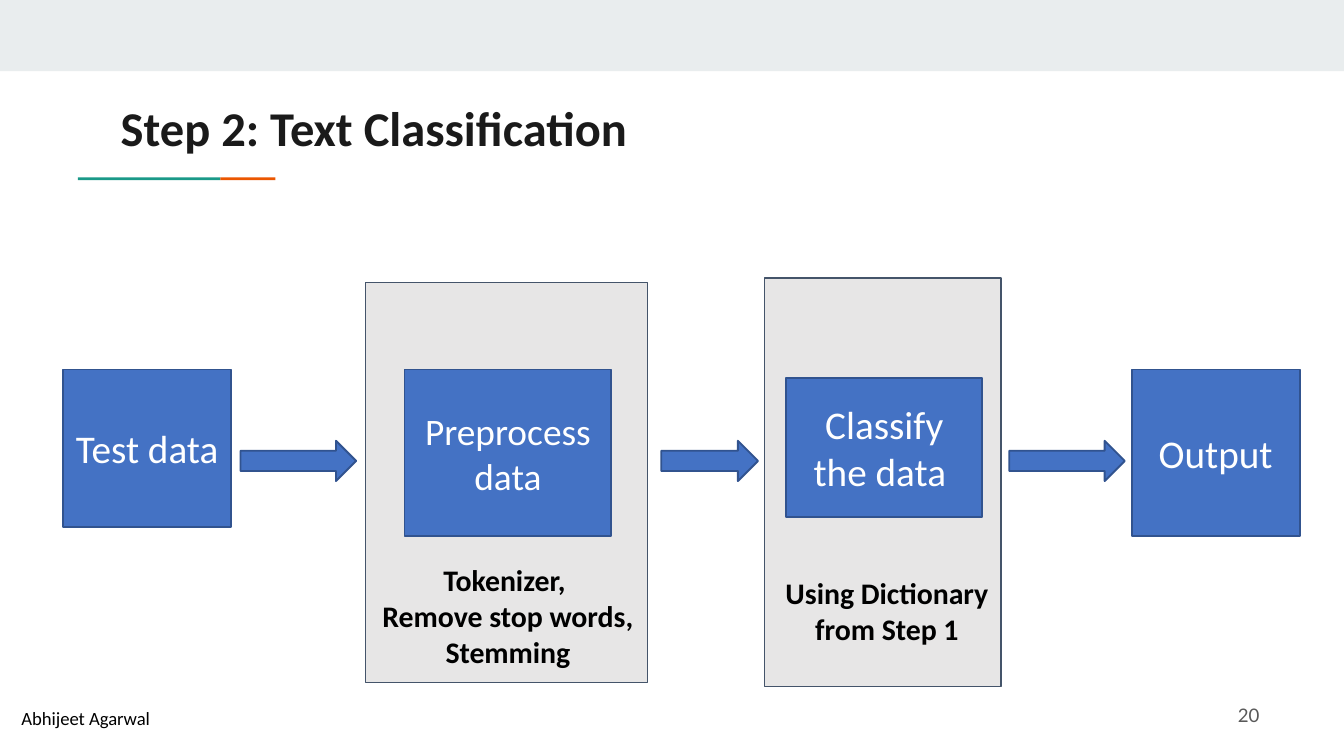
from dataclasses import dataclass

import pptx
import pptx.util
from pptx.dml.color import RGBColor
from pptx.enum.shapes import MSO_SHAPE
from pptx.enum.text import MSO_ANCHOR, PP_ALIGN

Inches = pptx.util.Inches


@dataclass(frozen=True)
class Theme:
    band: str = "E9EDEE"
    teal: str = "1A9988"
    orange: str = "EB5600"
    title: str = "1A1A1A"
    number: str = "595959"
    black: str = "000000"
    white: str = "FFFFFF"
    panel: str = "E7E6E6"
    panel_line: str = "44546A"
    step: str = "4472C4"
    step_line: str = "31538F"
    font: str = "Calibri"
    number_font: str = "Lato"
    title_size: int = 26
    step_size: int = 21
    caption_size: int = 16
    footer_size: int = 10


THEME = Theme()
STEP_TOP, ARROW_TOP, ARROW_HEIGHT = 2.75, 3.28, 0.3


def write_text(shape, text, size, color, font=THEME.font, bold=False,
               align=PP_ALIGN.LEFT, anchor=MSO_ANCHOR.TOP, insets=(0.1, 0.1)):
    """Fill a shape with uniformly formatted text, one paragraph per line."""
    frame = shape.text_frame
    side, end = map(Inches, insets)
    frame_format = {"word_wrap": True, "vertical_anchor": anchor,
                    "margin_left": side, "margin_right": side,
                    "margin_top": end, "margin_bottom": end}
    for name, value in frame_format.items():
        setattr(frame, name, value)
    frame.text = text
    font_format = {"name": font, "size": pptx.util.Pt(size), "bold": bold}
    for paragraph in frame.paragraphs:
        paragraph.alignment = align
        for run in paragraph.runs:
            for name, value in font_format.items():
                setattr(run.font, name, value)
            run.font.color.rgb = RGBColor.from_string(color)


def add_text(slide, box, text, size, color, **text_format):
    shape = slide.shapes.add_textbox(*map(Inches, box))
    write_text(shape, text, size, color, **text_format)


def add_block(slide, box, fill, line=None, line_width=1, kind=MSO_SHAPE.RECTANGLE):
    shape = slide.shapes.add_shape(kind, *map(Inches, box))
    shape.shadow.inherit = False
    shape.fill.solid()
    shape.fill.fore_color.rgb = RGBColor.from_string(fill)
    if line:
        shape.line.color.rgb = RGBColor.from_string(line)
        shape.line.width = pptx.util.Pt(line_width)
    else:
        shape.line.fill.background()
    return shape


def add_header(slide, box):
    """Draw the top band, the title and the two-colour rule below it."""
    left, top, width, height = box
    add_block(slide, (left, top, width, 0.53), THEME.band)
    add_text(slide, (left + 0.8, top + 0.63, 8.41, 0.59), "Step 2: Text Classification",
             THEME.title_size, THEME.title, bold=True)
    rule_top = top + height - 0.02
    add_block(slide, (left + 0.58, rule_top, 1.06, 0.02), THEME.teal)
    add_block(slide, (left + 1.64, rule_top, 0.41, 0.02), THEME.orange)


def add_step(slide, box, text, size=THEME.step_size):
    shape = add_block(slide, box, THEME.step, THEME.step_line)
    write_text(shape, text, size, THEME.white, align=PP_ALIGN.CENTER,
               anchor=MSO_ANCHOR.MIDDLE, insets=(0.07, 0.04))


def add_panel(slide, box, step_box, caption_box, step, caption, size=THEME.step_size):
    """Draw a panel; step_box and caption_box are offset from its corner."""
    left, top = box[:2]

    def inside(part):
        return left + part[0], top + part[1], part[2], part[3]

    add_block(slide, box, THEME.panel, THEME.panel_line, 0.75)
    add_step(slide, inside(step_box), step, size)
    add_text(slide, inside(caption_box), caption, THEME.caption_size, THEME.black,
             bold=True, align=PP_ALIGN.CENTER)


def add_flow(slide, box):
    """Draw the process from test data to output."""
    left, top, width, height = box
    step_width = 1.25
    add_step(slide, (left, STEP_TOP, step_width, 1.17), "Test data")
    add_panel(slide, (left + 2.25, top + 0.03, 2.1, 2.98),
              (0.29, 0.65, 1.54, 1.24), (-0.09, 1.98, 2.3, 0.38),
              "Preprocess data", "Tokenizer, \nRemove stop words,\nStemming", 20)
    add_panel(slide, (left + 5.22, top, 1.76, height),
              (0.16, 0.74, 1.46, 1.04), (0.03, 2.11, 1.76, 0.3),
              "Classify the data ", "Using Dictionary from Step 1")
    add_step(slide, (left + width - step_width, STEP_TOP, step_width, 1.24), "Output")
    for offset, length in ((1.32, 0.86), (4.45, 0.72), (7.04, 0.86)):
        add_block(slide, (left + offset, ARROW_TOP, length, ARROW_HEIGHT),
                  THEME.step, THEME.step_line, kind=MSO_SHAPE.RIGHT_ARROW)


def add_footer(slide, box):
    left, top, width, height = box
    add_text(slide, (left + 0.06, top + 0.1, 2.38, 0.27), "Abhijeet Agarwal",
             THEME.footer_size, THEME.black, insets=(0.1, 0.05))
    add_text(slide, (left + width - 1.1, top, 0.57, height), "20",
             THEME.footer_size, THEME.number, font=THEME.number_font,
             align=PP_ALIGN.RIGHT, anchor=MSO_ANCHOR.MIDDLE)


def main():
    presentation = pptx.Presentation()
    presentation.slide_width = Inches(10)
    presentation.slide_height = presentation.slide_width * 9 // 16
    slide = presentation.slides.add_slide(presentation.slide_layouts[6])
    add_header(slide, (0, 0, 10, 1.34))
    add_flow(slide, (0.47, 2.07, 9.2, 3.04))
    add_footer(slide, (0, 5.11, 10, 0.42))
    presentation.save("out.pptx")


if __name__ == "__main__":
    main()
